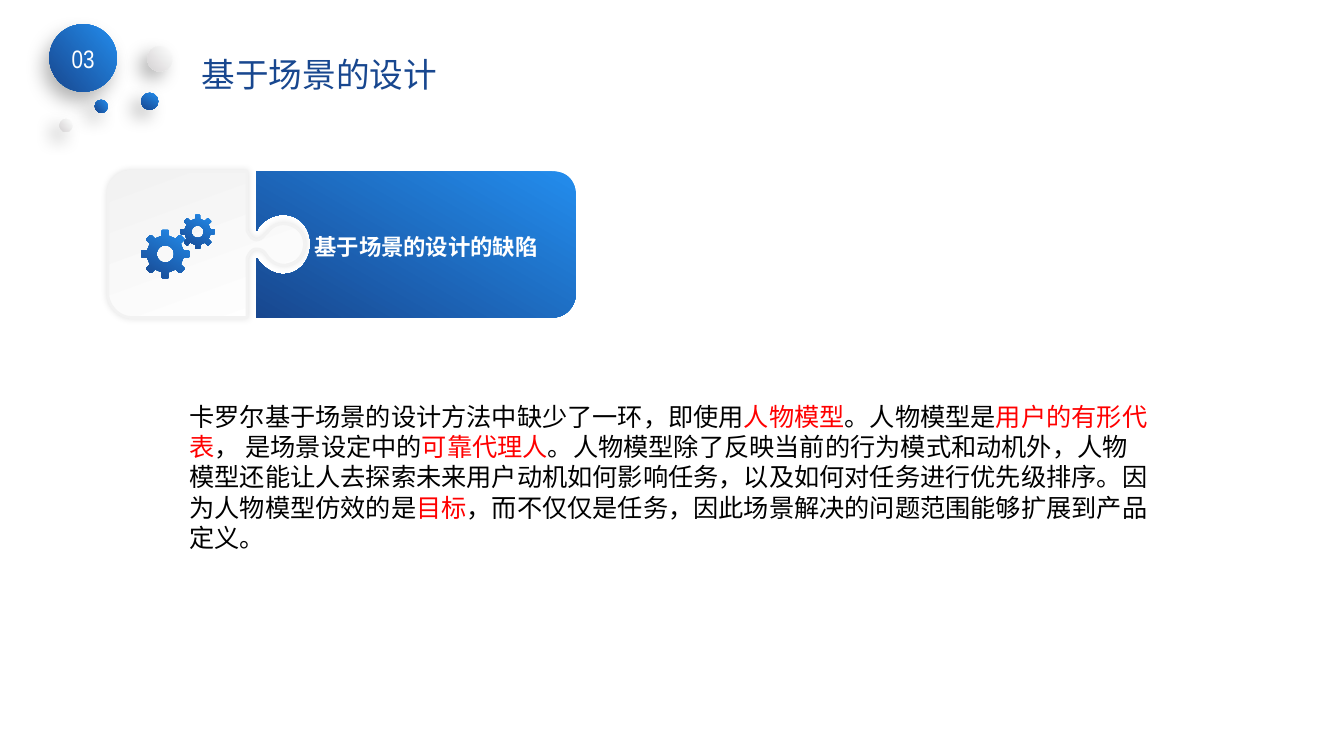
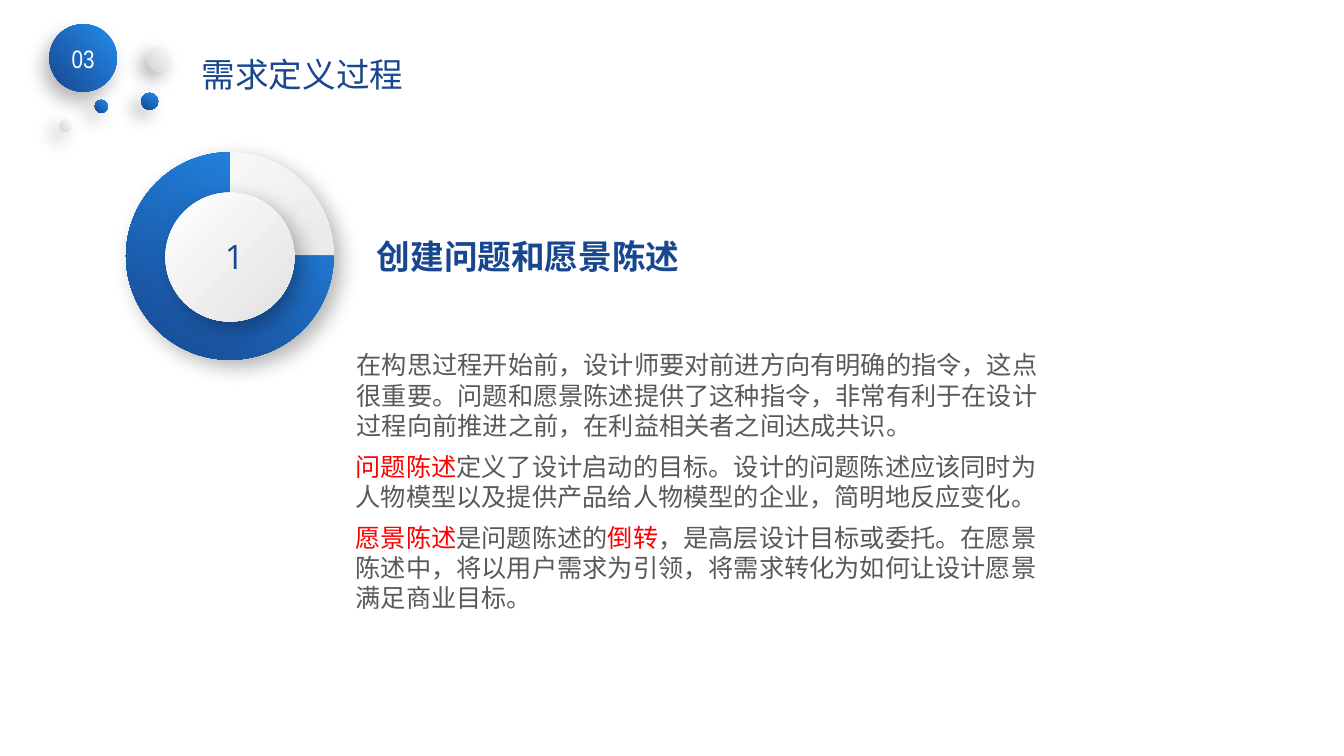
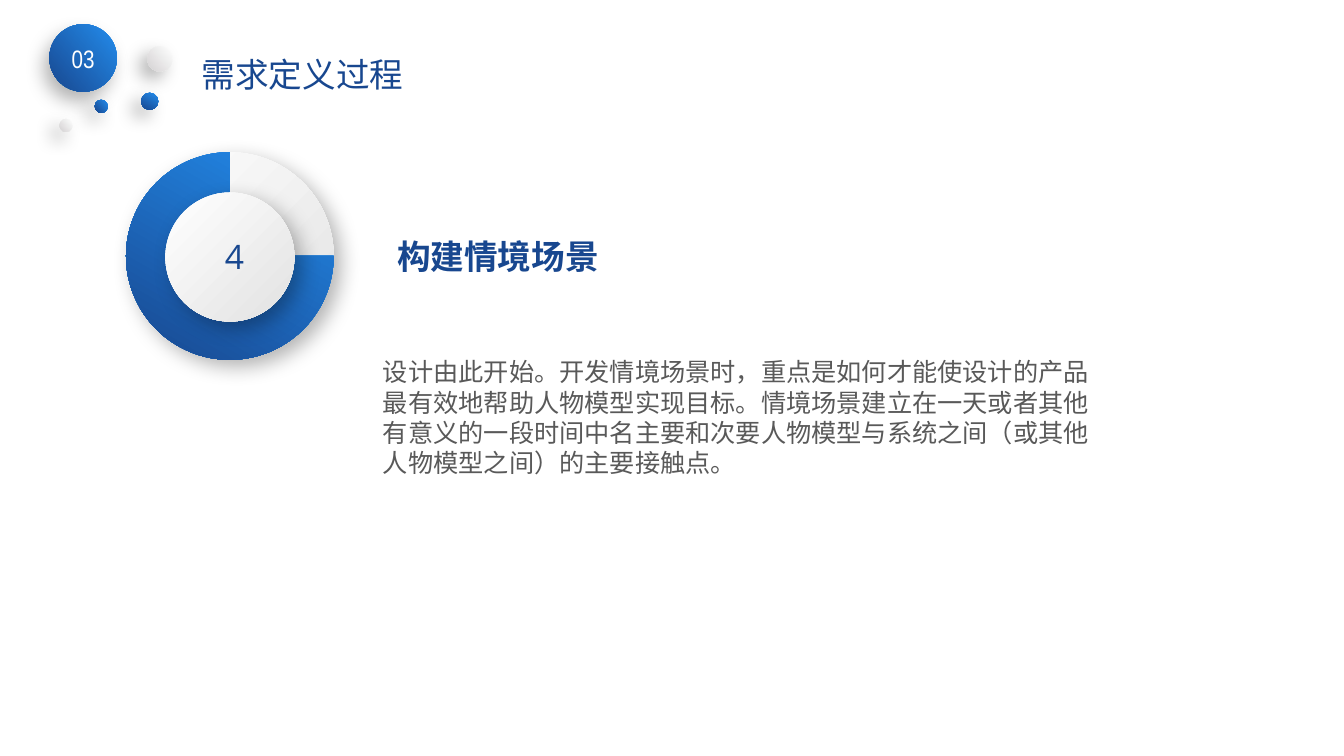
"""Build three slides on scenario-based design and requirements definition."""
from dataclasses import dataclass
from math import cos, pi, sin

from lxml.etree import SubElement
from pptx import Presentation
from pptx.dml.color import RGBColor
from pptx.enum.shapes import MSO_SHAPE as Preset
from pptx.enum.text import MSO_ANCHOR as Anchor, MSO_AUTO_SIZE as AutoSize, PP_ALIGN as Align
from pptx.oxml.ns import qn
from pptx.util import Inches, Pt


@dataclass(frozen=True)
class Theme:
    navy: str = "18478F"
    white: str = "FFFFFF"
    black: str = "000000"
    red: str = "FF0000"
    grey: str = "595959"
    mist: str = "F2F2F2"
    blues: tuple = ("238DED", "18478F")
    silvers: tuple = ("FFFFFF", "D4D2D3")
    pearls: tuple = ("FFFFFF", "E2E2E2")
    mists: tuple = ("FFFFFF", "F2F2F2")
    cjk: str = "Noto Sans CJK SC"
    latin: str = "Open Sans"
    body_latin: str = "Calibri"
    narrow: str = "Arial Narrow"
    heading: int = 24
    body: int = 18
    label: int = 16


theme = Theme()


def paint(shape, colours, angle, shadow=None):
    shape.fill.gradient()
    shape.fill.gradient_angle = 360 - angle
    for stop, colour in zip(shape.fill.gradient_stops, colours):
        stop.color.rgb = RGBColor.from_string(colour)
    shape.line.fill.background()
    shape.shadow.inherit = False
    if shadow:
        alpha, blur, distance, direction = shadow
        effects = shape.element.spPr.find(qn("a:effectLst"))
        outer = SubElement(effects, qn("a:outerShdw"), blurRad=str(Pt(blur)), dist=str(Pt(distance)),
                           dir=str(direction * 60000), algn="ctr", rotWithShape="0")
        tone = SubElement(outer, qn("a:srgbClr"), val=theme.black)
        SubElement(tone, qn("a:alpha"), val=str(alpha * 1000))


def write(shape, runs, font, size, bold=False, align=Align.LEFT, anchor=Anchor.TOP,
          fit=AutoSize.SHAPE_TO_FIT_TEXT):
    frame = shape.text_frame
    frame.word_wrap = True
    frame.auto_size = fit
    frame.vertical_anchor = anchor
    paragraph = frame.paragraphs[0]
    paragraph.alignment = align
    for text, colour in runs:
        run = paragraph.add_run()
        run.text = text
        run.font.name = font
        run.font.size = Pt(size)
        run.font.bold = bold
        run.font.color.rgb = RGBColor.from_string(colour)
        SubElement(run.font._element, qn("a:ea"), typeface=theme.cjk)


deck = Presentation()
deck.slide_width, deck.slide_height = Inches(13.33), Inches(7.5)
layout = deck.slide_layouts[5]
for placeholder in list(layout.placeholders):
    if placeholder.placeholder_format.idx != 0:
        placeholder.element.getparent().remove(placeholder.element)

titles = ["基于场景的设计", "需求定义过程", "需求定义过程"]
slides = []
for heading in titles:
    slide = deck.slides.add_slide(layout)
    title = slide.shapes.title
    title.left, title.top, title.width, title.height = map(Inches, (1.9, 0.48, 4.66, 0.5))
    write(title, [(heading, theme.navy)], theme.latin, theme.heading, fit=AutoSize.NONE)
    slides.append(slide)
flaw_slide, vision_slide, context_slide = slides

bubbles = []
for left, top, size, colours, angle, shadow in [
    (0.49, 0.24, 0.67, theme.blues, 140, (30, 14, 8, 120)),
    (1.46, 0.46, 0.25, theme.silvers, 140, (30, 13, 8, 135)),
    (0.59, 1.18, 0.13, theme.silvers, 140, (30, 13, 8, 135)),
    (0.94, 0.99, 0.13, theme.blues, 140, (30, 13, 8, 135)),
    (1.4, 0.92, 0.17, theme.blues, 120, (30, 13, 8, 135)),
]:
    bubble = flaw_slide.shapes.add_shape(Preset.OVAL, *map(Inches, (left, top, size, size)))
    paint(bubble, colours, angle, shadow)
    bubbles.append(bubble)
write(bubbles[0], [("03", theme.white)], theme.narrow, theme.body, align=Align.CENTER,
      anchor=Anchor.MIDDLE, fit=AutoSize.NONE)
for bubble in bubbles:
    layout.shapes.element.append(bubble.element)

knob_piece = [
    (2.45, 2.56), (2.47, 2.51, 2.5, 2.47, 2.54, 2.47), (2.61, 2.47, 2.63, 2.51, 2.65, 2.54),
    (2.68, 2.58, 2.74, 2.63, 2.81, 2.63), (2.93, 2.63, 3.02, 2.54, 3.02, 2.42),
    (3.02, 2.31, 2.93, 2.22, 2.81, 2.22), (2.74, 2.22, 2.68, 2.26, 2.65, 2.31),
    (2.63, 2.31, 2.61, 2.38, 2.54, 2.38), (2.5, 2.38, 2.47, 2.33, 2.45, 2.29),
    (2.45, 1.7), (1.3, 1.7), (1.18, 1.7, 1.07, 1.79, 1.07, 1.93),
    (1.07, 2.92), (1.07, 3.03, 1.18, 3.15, 1.3, 3.15), (2.45, 3.15),
]
socket_piece = [
    (5.48, 1.7), (2.54, 1.7), (2.54, 2.29), (2.56, 2.29, 2.56, 2.26, 2.56, 2.26),
    (2.63, 2.17, 2.72, 2.13, 2.81, 2.13), (2.97, 2.13, 3.08, 2.26, 3.08, 2.42),
    (3.08, 2.58, 2.97, 2.72, 2.81, 2.72), (2.72, 2.72, 2.63, 2.67, 2.56, 2.58),
    (2.56, 2.58, 2.56, 2.56, 2.54, 2.56), (2.54, 3.15), (5.48, 3.15),
    (5.62, 3.15, 5.71, 3.03, 5.71, 2.92), (5.71, 1.93), (5.71, 1.79, 5.62, 1.7, 5.48, 1.7),
]
outlines = []
for piece in (knob_piece, socket_piece):
    points = [piece[0]]
    for segment in piece[1:]:
        if len(segment) == 2:
            points.append(segment)
            continue
        (x0, y0), (x1, y1, x2, y2, x3, y3) = points[-1], segment
        for step in range(1, 13):
            t = step / 12
            u = 1 - t
            points.append((u**3 * x0 + 3 * u * u * t * x1 + 3 * u * t * t * x2 + t**3 * x3,
                           u**3 * y0 + 3 * u * u * t * y1 + 3 * u * t * t * y2 + t**3 * y3))
    outlines.append([points])

for x, y, radius in [(1.64, 2.52, 0.24), (1.96, 2.3, 0.17)]:
    teeth = []
    for tooth in range(8):
        turn = tooth * pi / 4
        for reach, side in [(0.75, -0.15), (0.96, -0.15), (1, -0.11),
                            (1, 0.11), (0.96, 0.15), (0.75, 0.15)]:
            teeth.append((x + radius * (reach * cos(turn) - side * sin(turn)),
                          y + radius * (reach * sin(turn) + side * cos(turn))))
    hole = [(x + 0.36 * radius * cos(step * pi / 18), y - 0.36 * radius * sin(step * pi / 18))
            for step in range(36)]
    outlines.append([teeth, hole])

for index, contours in enumerate(outlines):
    builder = None
    for contour in contours:
        start, *rest = [(Inches(x), Inches(y)) for x, y in contour]
        if builder:
            builder.move_to(*start)
        else:
            builder = flaw_slide.shapes.build_freeform(*start)
        builder.add_line_segments(rest, close=True)
    part = builder.convert_to_shape()
    if index == 0:
        paint(part, theme.mists, 250, (11, 5, 0, 0))
        part.line.color.rgb = RGBColor.from_string(theme.mist)
        part.line.width = Pt(2)
    else:
        paint(part, theme.blues, 120)

for slide in (vision_slide, context_slide):
    for preset, left, top, size, colours, angle, shadow in [
        (Preset.OVAL, 1.25, 1.51, 2.06, theme.pearls, 45, (30, 15, 7, 45)),
        (Preset.PIE, 1.25, 1.51, 2.06, theme.blues, 120, None),
        (Preset.OVAL, 1.64, 1.91, 1.28, theme.pearls, 45, (30, 15, 7, 45)),
    ]:
        disc = slide.shapes.add_shape(preset, *map(Inches, (left, top, size, size)))
        paint(disc, colours, angle, shadow)

for slide, number in [(vision_slide, "1"), (context_slide, "4")]:
    step_number = slide.shapes.add_textbox(*map(Inches, (1.57, 2.29, 1.51, 0.5)))
    write(step_number, [(number, theme.navy)], theme.latin, theme.heading, align=Align.CENTER)

for slide, box, text, size, colour in [
    (flaw_slide, (3.02, 2.26, 2.56, 0.37), "基于场景的设计的缺陷", theme.label, theme.white),
    (vision_slide, (3.64, 2.29, 3.51, 0.5), "创建问题和愿景陈述", theme.heading, theme.navy),
    (context_slide, (3.84, 2.29, 4.34, 0.5), "构建情境场景", theme.heading, theme.navy),
]:
    caption = slide.shapes.add_textbox(*map(Inches, box))
    write(caption, [(text, colour)], theme.cjk, size, bold=True)

for slide, box, font, runs in [
    (flaw_slide, (1.78, 3.93, 9.72, 1.61), theme.body_latin, [
        ("卡罗尔基于场景的设计方法中缺少了一环，即使用", theme.black),
        ("人物模型", theme.red),
        ("。人物模型是", theme.black),
        ("用户的有形代表", theme.red),
        ("， 是场景设定中的", theme.black),
        ("可靠代理人", theme.red),
        ("。人物模型除了反映当前的行为模式和动机外，人物模型还能让人去探索未来用户动机如何影响任务，"
         "以及如何对任务进行优先级排序。因为人物模型仿效的是", theme.black),
        ("目标", theme.red),
        ("，而不仅仅是任务，因此场景解决的问题范围能够扩展到产品定义。", theme.black),
    ]),
    (vision_slide, (3.44, 3.42, 7.05, 1.01), theme.cjk, [
        ("在构思过程开始前，设计师要对前进方向有明确的指令，这点很重要。问题和愿景陈述提供了这种指令，"
         "非常有利于在设计过程向前推进之前，在利益相关者之间达成共识。", theme.grey),
    ]),
    (vision_slide, (3.43, 4.43, 7.05, 0.71), theme.cjk, [
        ("问题陈述", theme.red),
        ("定义了设计启动的目标。设计的问题陈述应该同时为人物模型以及提供产品给人物模型的企业，"
         "简明地反应变化。", theme.grey),
    ]),
    (vision_slide, (3.43, 5.13, 7.05, 1.01), theme.cjk, [
        ("愿景陈述", theme.red),
        ("是问题陈述的", theme.grey),
        ("倒转", theme.red),
        ("，是高层设计目标或委托。在愿景陈述中，将以用户需求为引领，将需求转化为如何让设计愿景满足商业目标。",
         theme.grey),
    ]),
    (context_slide, (3.7, 3.49, 7.42, 1.31), theme.cjk, [
        ("设计由此开始。开发情境场景时，重点是如何才能使设计的产品最有效地帮助人物模型实现目标。"
         "情境场景建立在一天或者其他有意义的一段时间中名主要和次要人物模型与系统之间"
         "（或其他人物模型之间）的主要接触点。", theme.grey),
    ]),
]:
    passage = slide.shapes.add_textbox(*map(Inches, box))
    write(passage, runs, font, theme.body)

deck.save("out.pptx")
